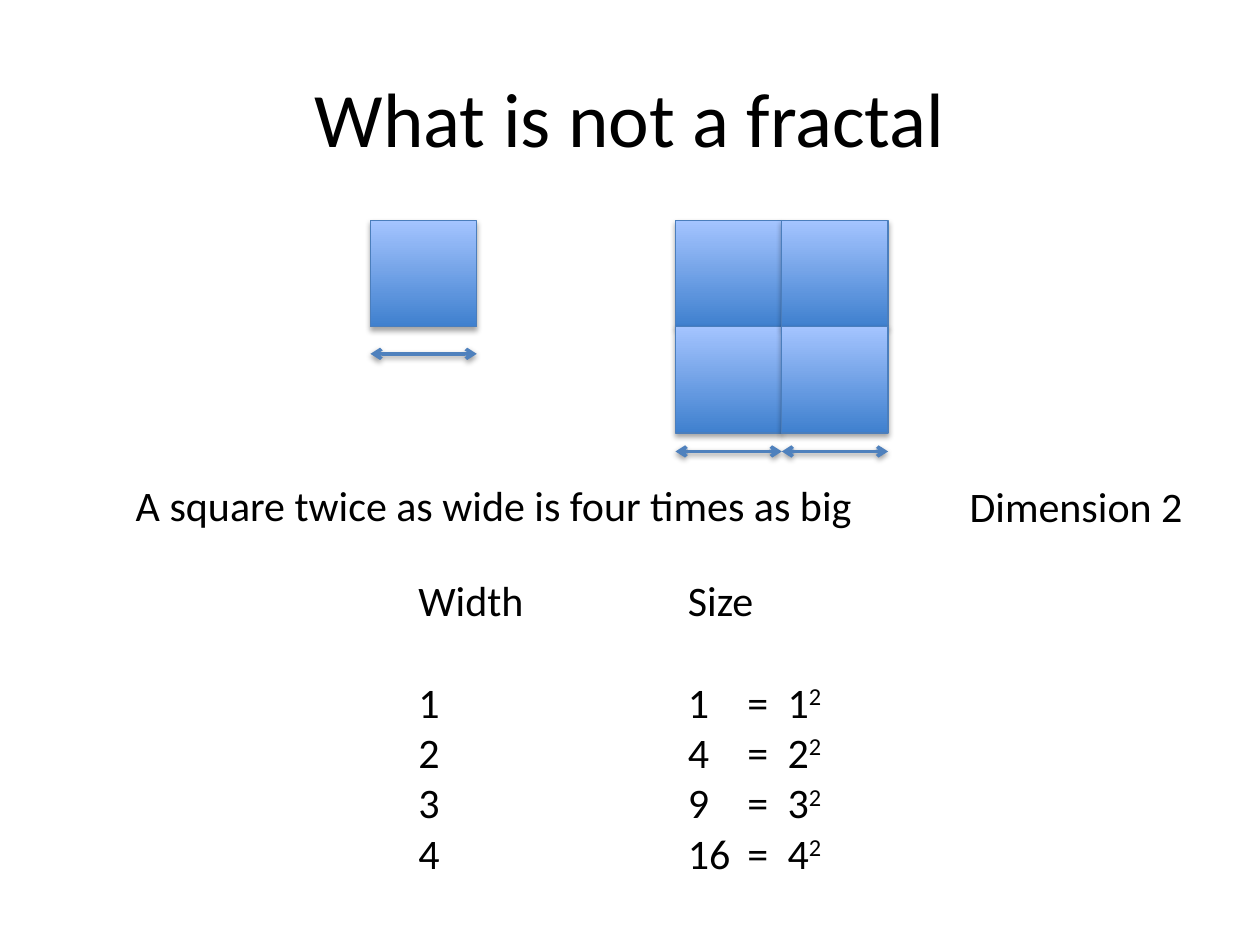
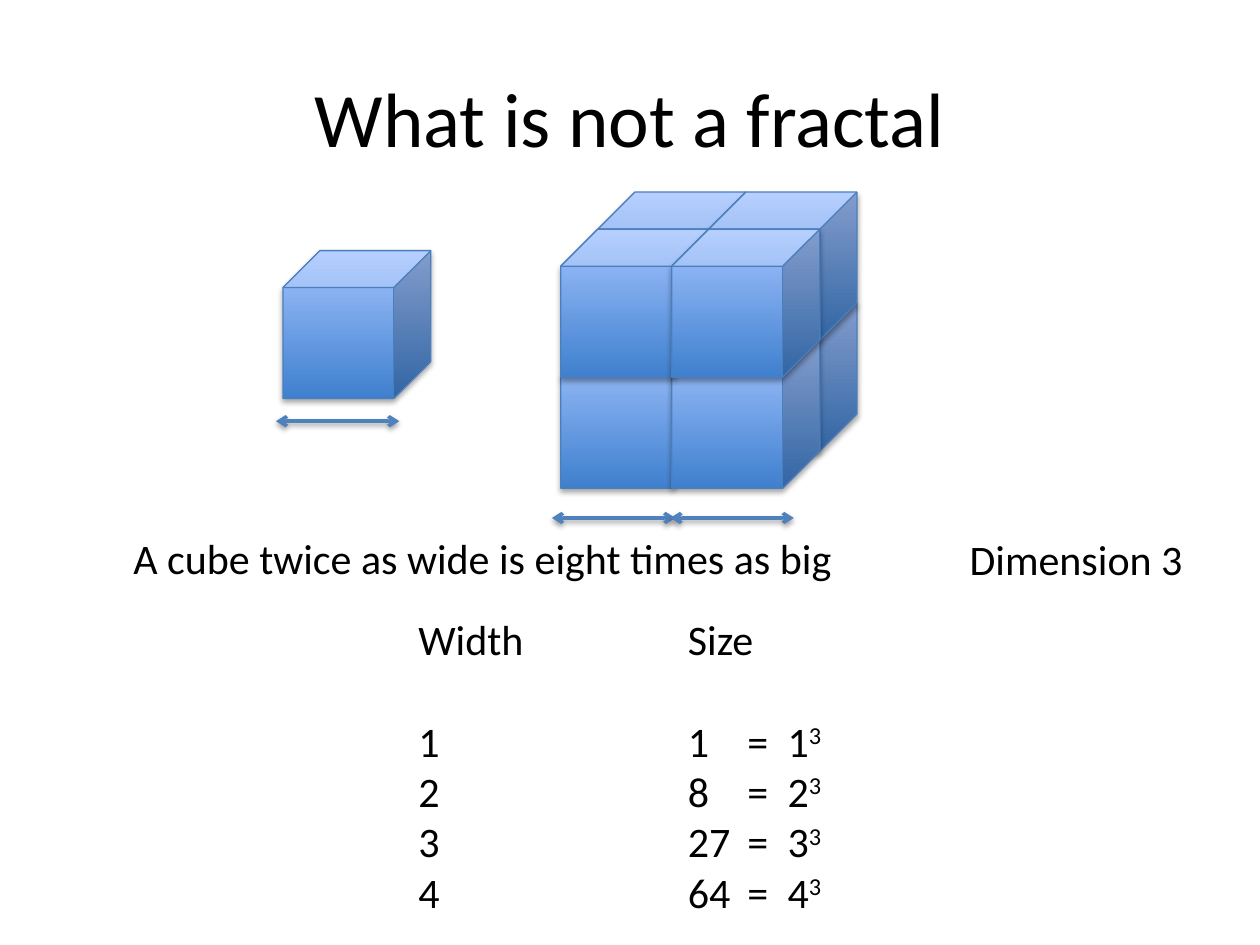
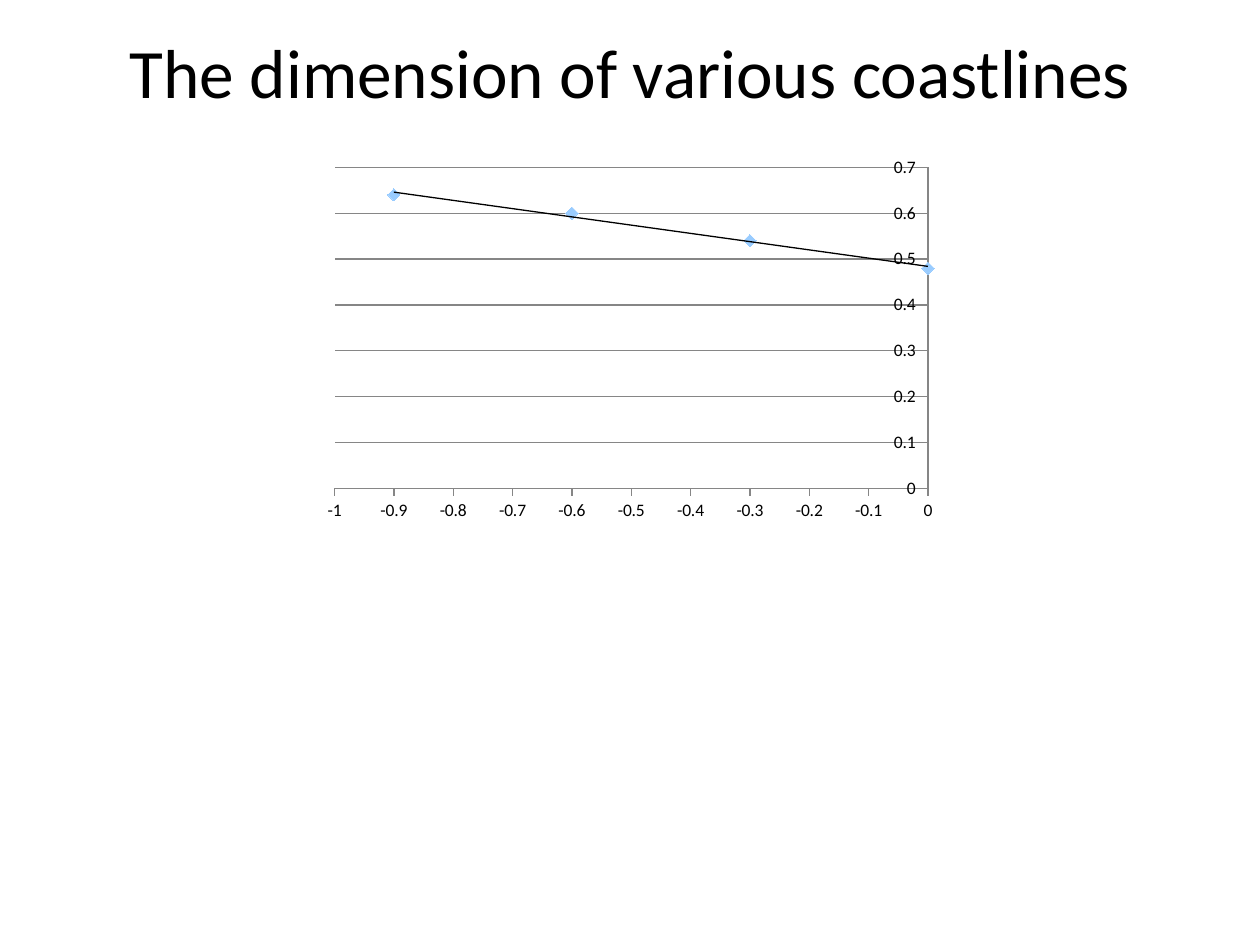
"""Build three slides on squares, cubes and the dimension of coastlines."""
from dataclasses import dataclass
from itertools import product

from pptx import Presentation
from pptx.chart.data import XyChartData
from pptx.dml.color import RGBColor
from pptx.enum.chart import XL_CHART_TYPE, XL_MARKER_STYLE, XL_TICK_MARK
from pptx.enum.shapes import MSO_CONNECTOR, MSO_SHAPE
from pptx.enum.text import MSO_ANCHOR, PP_ALIGN
from pptx.oxml import parse_xml
from pptx.oxml.ns import nsdecls, qn
from pptx.util import Pt

RECT, CUBE = MSO_SHAPE.RECTANGLE, MSO_SHAPE.CUBE
STRAIGHT = MSO_CONNECTOR.STRAIGHT
CENTER, MIDDLE = PP_ALIGN.CENTER, MSO_ANCHOR.MIDDLE
SCATTER = XL_CHART_TYPE.XY_SCATTER
DIAMOND = XL_MARKER_STYLE.DIAMOND
OUT = XL_TICK_MARK.OUTSIDE


@dataclass(frozen=True)
class Theme:
    """Colours, font and type sizes of the deck."""
    font: str = "Calibri"
    ink: str = "000000"
    low: str = "3F80CE"
    high: str = "A4C4FF"
    edge: str = "4B7EBC"
    arrow: str = "4F81BD"
    mark: str = "99CCFF"
    grid: str = "868686"
    title: float = 44
    small: float = 39.6
    body: float = 24
    label: float = 10
    gap: float = 29.3


@dataclass(frozen=True)
class Box:
    """A place on the slide, in points."""
    left: float
    top: float
    width: float
    height: float

    def cut(self) -> tuple[Pt, ...]:
        """Give the four lengths in slide units."""
        return Pt(self.left), Pt(self.top), Pt(self.width), Pt(self.height)


@dataclass(frozen=True)
class Span:
    """A row of equal double arrows."""
    left: float
    top: float
    width: float
    step: float
    count: int


@dataclass(frozen=True)
class Lesson:
    """What one slide on scaling shows."""
    dim: int
    text: str
    left: float
    top: float
    table: float
    kind: MSO_SHAPE
    blocks: list[Box]
    spans: list[Span]


THEME = Theme()


def hue(code: str) -> RGBColor:
    """Turn a hex code into a colour."""
    return RGBColor.from_string(code)


def style(font, size: float) -> None:
    """Set face, size and colour of a font."""
    font.name, font.size = THEME.font, Pt(size)
    font.color.rgb = hue(THEME.ink)


def shade(shape, alpha: int, drop: float) -> None:
    """Give a shape a soft shadow straight below it."""
    shape.element.spPr.append(parse_xml(
        f'<a:effectLst {nsdecls("a")}><a:outerShdw blurRad="{Pt(3.15)}" '
        f'dist="{Pt(drop)}" dir="5400000" rotWithShape="0">'
        f'<a:srgbClr val="{THEME.ink}"><a:alpha val="{alpha * 1000}"/>'
        '</a:srgbClr></a:outerShdw></a:effectLst>'))


def start(deck, text: str, top: float, size: float):
    """Add a slide with its title."""
    slide = deck.slides.add_slide(deck.slide_layouts[5])
    title = slide.shapes.title
    title.left, title.top, title.width, title.height = Box(36, top, 648, 90).cut()
    frame = title.text_frame
    frame.text, frame.vertical_anchor = text, MIDDLE
    frame.paragraphs[0].alignment = CENTER
    style(frame.paragraphs[0].runs[0].font, size)
    return slide


def note(slide, box: Box, lines: list[str]):
    """Add a text box with one paragraph a line."""
    frame = slide.shapes.add_textbox(*box.cut()).text_frame
    frame.word_wrap = True
    frame.text = "\n".join(lines)
    for para in frame.paragraphs:
        style(para.runs[0].font, THEME.body)
    if len(lines) > 1:
        frame.paragraphs[1].space_before = Pt(THEME.gap)
    return frame


def table(slide, top: float, dim: int) -> None:
    """List widths and the sizes that follow from them."""
    nums = range(1, 5)
    note(slide, Box(232, top, 110, 181.5), ["Width", *map(str, nums)])
    rows = [f"{n ** dim}\t=\t{n}" for n in nums]
    frame = note(slide, Box(386, top, 110, 181.5), ["Size", *rows])
    for para in frame.paragraphs[1:]:
        para._p.get_or_add_pPr().append(parse_xml(
            f'<a:tabLst {nsdecls("a")}><a:tab pos="{Pt(34)}" algn="l"/>'
            f'<a:tab pos="{Pt(57)}" algn="l"/></a:tabLst>'))
        power = para.add_run()
        power.text = str(dim)
        style(power.font, THEME.body)
        power._r.get_or_add_rPr().set("baseline", "30000")


def block(slide, kind: MSO_SHAPE, box: Box) -> None:
    """Draw one shaded square or cube."""
    shape = slide.shapes.add_shape(kind, *box.cut())
    shape.fill.gradient()
    shape.fill.gradient_angle = 90
    for stop, code, place in zip(shape.fill.gradient_stops,
                                 (THEME.low, THEME.high), (0, 1)):
        stop.color.rgb, stop.position = hue(code), place
    shape.line.color.rgb, shape.line.width = hue(THEME.edge), Pt(0.75)
    shade(shape, 35, 1.81)


def arrows(slide, span: Span) -> None:
    """Draw a row of double arrows."""
    for i in range(span.count):
        left = span.left + i * span.step
        line = slide.shapes.add_connector(
            STRAIGHT, Pt(left), Pt(span.top), Pt(left + span.width), Pt(span.top))
        line.line.color.rgb, line.line.width = hue(THEME.arrow), Pt(2)
        stroke = line.element.spPr.find(qn("a:ln"))
        for end in ("headEnd", "tailEnd"):
            stroke.append(parse_xml(f'<a:{end} {nsdecls("a")} type="arrow"/>'))
        shade(line, 38, 1.57)


def lesson(deck, item: Lesson) -> None:
    """Build one slide on scaling."""
    slide = start(deck, "What is not a fractal", 21.6, THEME.title)
    note(slide, Box(item.left, item.top, 468.5, 36), [item.text])
    table(slide, item.table, item.dim)
    note(slide, Box(547, item.top + 0.5, 150, 36), [f"Dimension {item.dim}"])
    for box in item.blocks:
        block(slide, item.kind, box)
    for span in item.spans:
        arrows(slide, span)


def coast(deck) -> None:
    """Build the slide with the scatter chart and its trend line."""
    slide = start(deck, "The dimension of various coastlines", -4.5, THEME.small)
    data = XyChartData()
    points = data.add_series("Series 1")
    for x, y in ((0, 0.48), (-0.3, 0.54), (-0.6, 0.6), (-0.9, 0.64)):
        points.add_data_point(x, y)
    chart = slide.shapes.add_chart(SCATTER, *Box(180, 85.7, 360, 216).cut(), data).chart
    chart.has_legend = chart.has_title = False
    style(chart.font, THEME.label)
    plot = chart.plots[0]
    plot.vary_by_categories = False
    for axis, low, high in ((chart.category_axis, -1, 0), (chart.value_axis, 0, 0.7)):
        axis.minimum_scale, axis.maximum_scale, axis.major_unit = low, high, 0.1
        axis.major_tick_mark = OUT
        axis.has_major_gridlines = axis is not chart.category_axis and high > 0
        lines = [axis.format.line]
        if axis.has_major_gridlines:
            lines.append(axis.major_gridlines.format.line)
        for line in lines:
            line.color.rgb, line.width = hue(THEME.grid), Pt(0.75)
    series = plot.series[0]
    series.format.line.fill.background()
    mark = series.marker
    mark.style, mark.size = DIAMOND, 7
    mark.format.fill.solid()
    mark.format.fill.fore_color.rgb = hue(THEME.mark)
    mark.format.line.fill.background()
    trend = parse_xml(
        f'<c:trendline {nsdecls("c", "a")}><c:spPr><a:ln w="{Pt(0.75)}"><a:solidFill>'
        f'<a:srgbClr val="{THEME.ink}"/></a:solidFill></a:ln></c:spPr>'
        '<c:trendlineType val="linear"/><c:dispRSqr val="0"/><c:dispEq val="0"/>'
        '</c:trendline>')
    series._element.find(qn("c:xVal")).addprevious(trend)


def main() -> None:
    """Build the deck and save it."""
    deck = Presentation()
    deck.slide_width, deck.slide_height = Pt(720), Pt(540)
    side, cube, step, depth = 60.75, 84.5, 63.5, 21.25
    squares = [Box(386 + col * side, 126 + row * side, side, side)
               for col, row in product((0, 1), repeat=2)]
    cubes = [Box(320.4 + col * step + back * depth,
                 131 + row * step - back * depth, cube, cube)
             for back, row, col in product((1, 0), (1, 0), (0, 1))]
    lesson(deck, Lesson(
        2, "A square twice as wide is four times as big", 70.5, 270.7, 324.7, RECT,
        [Box(211.7, 126, side, side), *squares],
        [Span(211.7, 202.2, side, side, 1), Span(386, 258, side, side, 2)]))
    lesson(deck, Lesson(
        3, "A cube twice as wide is eight times as big", 69.1, 300.7, 347, CUBE,
        [Box(161.7, 143.2, cube, cube), *cubes],
        [Span(157.7, 240.7, 70.5, 67.7, 1), Span(315.4, 296, 70.5, 67.7, 2)]))
    coast(deck)
    deck.save("out.pptx")


if __name__ == "__main__":
    main()
